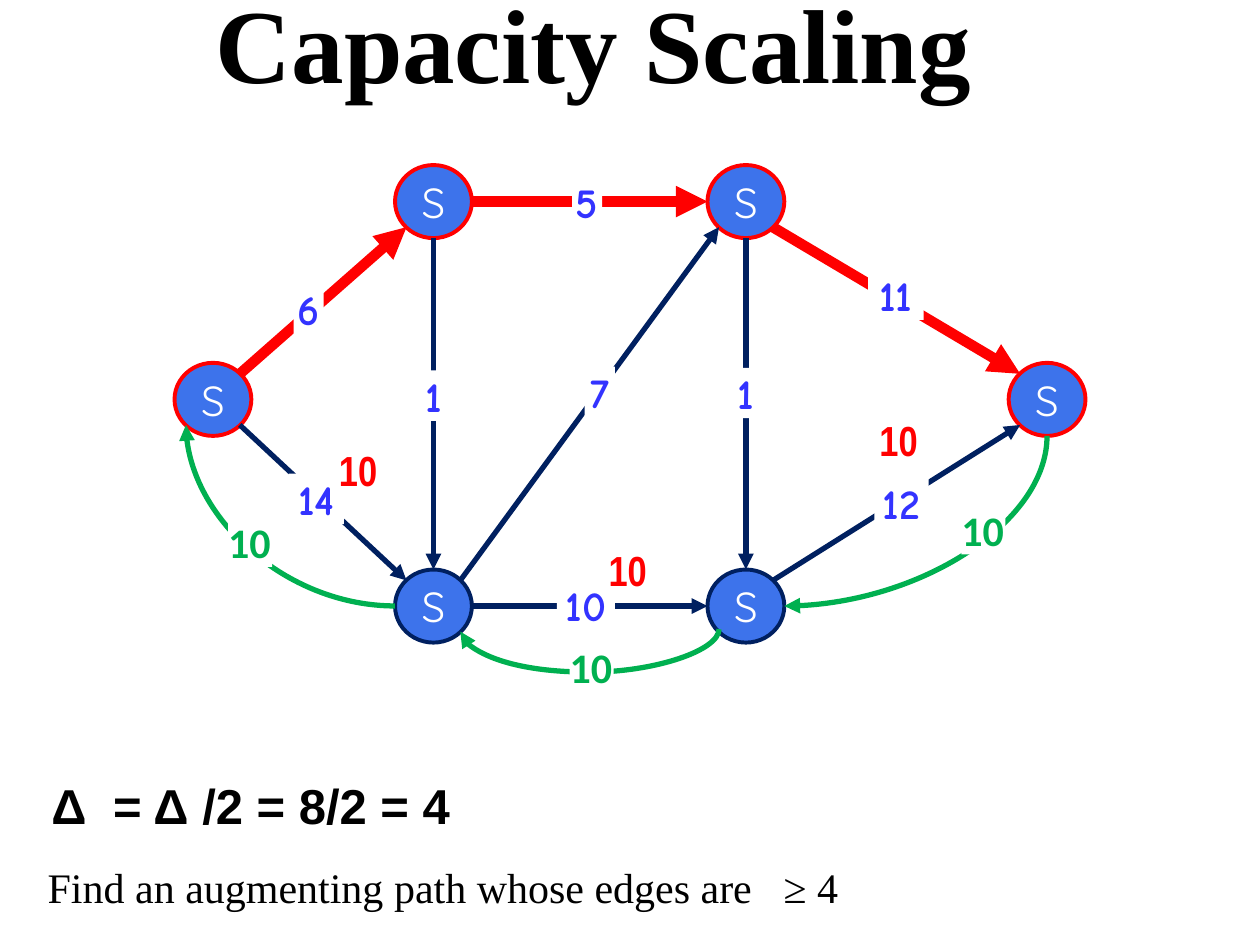
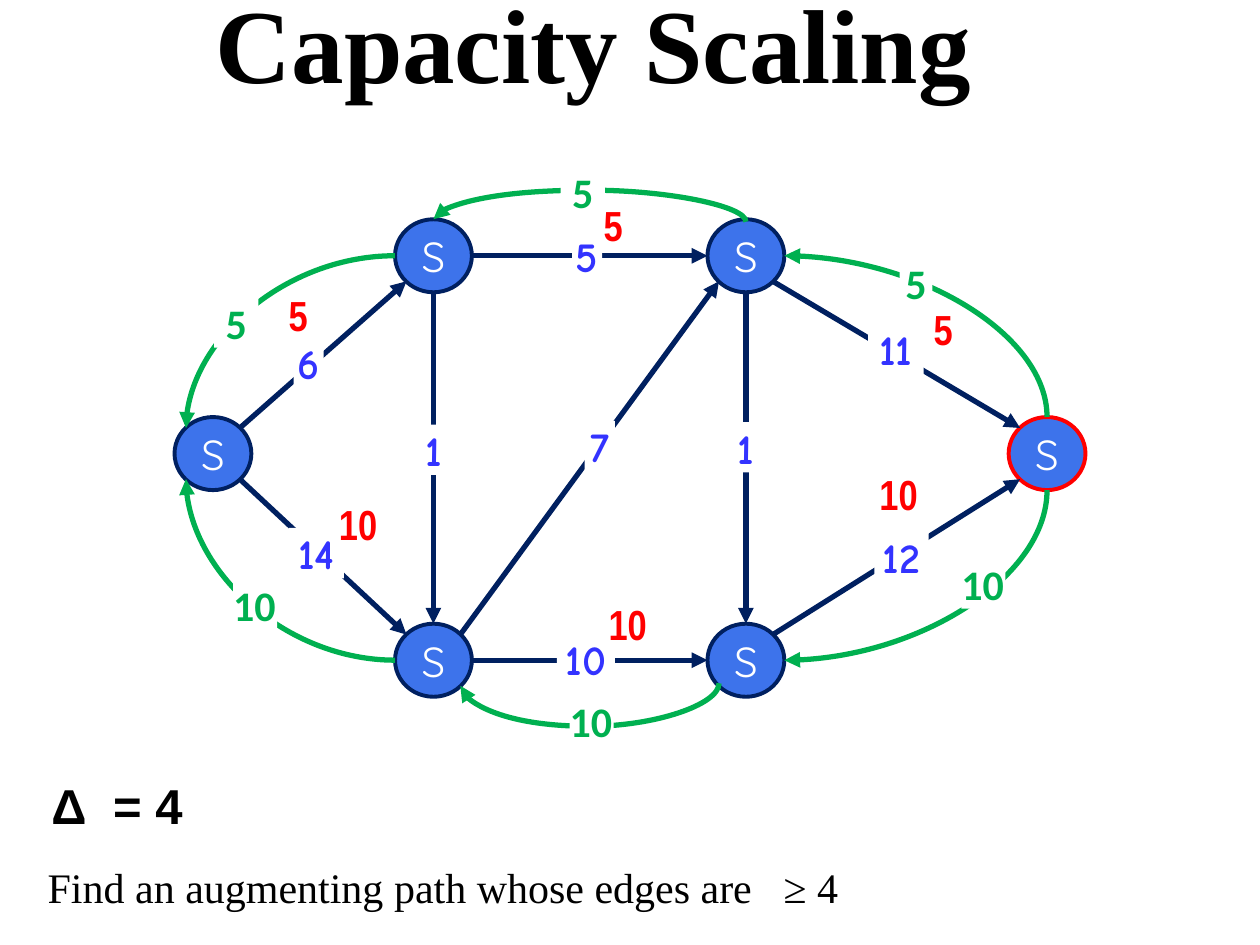
from dataclasses import dataclass

from lxml import etree
from pptx import Presentation
from pptx.dml.color import RGBColor
from pptx.enum import shapes, text
from pptx.oxml.ns import qn
from pptx.util import Inches, Pt


@dataclass(frozen=True)
class Style:
    font: str
    size: int
    color: str
    bold: bool = True


class Theme:
    navy, red, green = "002060", "FF0000", "00B050"
    node, white = "3D73EB", "FFFFFF"
    title = Style("Times New Roman", 60, "000000")
    delta = Style("Arial", 28, "000000")
    task = Style("Times New Roman", 24, "000000", False)
    node_text = Style("Quicksand", 24, white, False)
    capacity = Style("Comic Neue", 24, "3333FF")
    flow = Style("Arial Narrow", 24, red)
    residual = Style("Calibri", 24, green)
    outline_pt, edge_pt, path_pt = 2.25, 3, 6


LEFT, CENTER = text.PP_ALIGN.LEFT, text.PP_ALIGN.CENTER
TOP, MIDDLE, BOTTOM = (text.MSO_ANCHOR.TOP, text.MSO_ANCHOR.MIDDLE,
                       text.MSO_ANCHOR.BOTTOM)

# Shared network: node centres, edges between compass points, capacities
NODE_W, NODE_H = 0.61, 0.58
NODES = {"source": (1.69, 3.17), "top1": (3.44, 1.6), "low1": (3.44, 4.81),
         "sink": (8.31, 3.17), "top2": (5.92, 1.6), "low2": (5.92, 4.81)}
COMPASS = {"N": (0, -1), "S": (0, 1), "E": (1, 0), "W": (-1, 0),
           "NE": (0.7, -0.7), "SE": (0.7, 0.7),
           "NW": (-0.7, -0.7), "SW": (-0.7, 0.7)}
EDGES = [("source", "SE", "low1", "NW"), ("low1", "E", "low2", "W"),
         ("source", "NE", "top1", "SW"), ("top1", "S", "low1", "N"),
         ("top1", "E", "top2", "W"), ("top2", "S", "low2", "N"),
         ("low2", "NE", "sink", "SW"), ("top2", "SE", "sink", "NW"),
         ("low1", "NE", "top2", "SW")]

# Labels: text, left, top, then width and alignment where they differ
CAPACITIES = [("5", 4.54, 1.4, 0.24), ("10", 4.42, 4.6, 0.46),
              ("1", 3.32, 2.94, 0.24), ("1", 5.8, 2.92, 0.24),
              ("12", 6.94, 3.79, 0.43), ("11", 6.89, 2.14, 0.44),
              ("6", 2.33, 2.25, 0.24), ("14", 2.29, 3.76, 0.44),
              ("7", 4.64, 2.91, 0.24)]
FLOWS = [("10", 6.98, 3.28), ("10", 4.83, 4.31), ("10", 2.69, 3.52)]
RESIDUALS = [("10", 7.63, 3.99), ("10", 4.52, 5.08)]

# Return arcs: start, end, and the depth of the bulge for a U-shaped arc
ARCS = [("low1", "W", "source", "SW", 0), ("low2", "SW", "low1", "SE", 0.34),
        ("sink", "S", "low2", "E", 0)]
UPPER_ARCS = [("top1", "W", "source", "NW", 0),
              ("top2", "N", "top1", "N", -0.25),
              ("sink", "N", "top2", "E", 0)]

TITLE = "Capacity Scaling"
TASK = "Find an augmenting path whose edges are\t≥ 4"
SLIDES = [
    dict(drop=0, delta="Δ\t= Δ /2 = 8/2 = 4",
         red_nodes={"source", "top1", "top2", "sink"},
         path={("source", "top1"), ("top1", "top2"), ("top2", "sink")},
         flows=FLOWS, arcs=ARCS,
         residuals=RESIDUALS + [("10", 1.81, 4.09)]),
    dict(drop=0.43, delta="Δ\t= 4", red_nodes={"sink"}, path=set(),
         flows=FLOWS + [("5", 2.29, 1.86), ("5", 4.79, 1.14),
                        ("5", 7.33, 1.97, 0.31, CENTER)],
         arcs=ARCS + UPPER_ARCS,
         residuals=RESIDUALS + [("10", 1.85, 4.16),
                                ("5", 1.7, 1.92, 0.35, CENTER),
                                ("5", 4.45, 0.88, 0.35, CENTER),
                                ("5", 7.14, 1.6, 0.26, CENTER)]),
]


def rgb(color):
    return RGBColor.from_string(color)


def write(sp, words, style, align=LEFT, anchor=BOTTOM, inset=True, tab=None,
          wrap=True):
    tf = sp.text_frame
    tf.word_wrap, tf.vertical_anchor = wrap, anchor
    if not inset:
        tf.margin_left = tf.margin_right = tf.margin_top = tf.margin_bottom = 0
    p = tf.paragraphs[0]
    p.text, p.alignment = words, align
    if tab:
        tabs = etree.SubElement(p._p.get_or_add_pPr(), qn("a:tabLst"))
        etree.SubElement(tabs, qn("a:tab"), pos=str(Inches(tab)), algn="l")
    for r in p.runs:
        r.font.name, r.font.size = style.font, Pt(style.size)
        r.font.bold, r.font.color.rgb = style.bold, rgb(style.color)


def add_text(s, box, words, style, **layout):
    write(s.shapes.add_textbox(*map(Inches, box)), words, style, **layout)


def add_filled(s, kind, box, fill, line=None):
    sp = s.shapes.add_shape(kind, *map(Inches, box))
    sp.shadow.inherit = False
    sp.fill.solid()
    sp.fill.fore_color.rgb = rgb(fill)
    if line:
        sp.line.color.rgb, sp.line.width = rgb(line), Pt(Theme.outline_pt)
    else:
        sp.line.fill.background()
    return sp


def add_arrow(s, kind, start, end, color, width):
    c = s.shapes.add_connector(kind, *map(Inches, (*start, *end)))
    c.line.color.rgb, c.line.width = rgb(color), Pt(width)
    sp_pr = c._element.spPr
    etree.SubElement(sp_pr.find(qn("a:ln")), qn("a:tailEnd"), type="triangle")
    etree.SubElement(sp_pr, qn("a:effectLst"))
    return sp_pr


def add_arc(s, start, end, vertical, depth):
    """Curve to the left; a vertical start is a horizontal one turned."""
    (x0, y0), (x1, y1) = start, end
    turn = 0
    if depth:
        y0 = y1 - (0.02 if depth > 0 else -0.02)
    dx, dy = x1 - x0, y1 - y0
    if vertical:
        cx, cy = (x0 + x1) / 2, (y0 + y1) / 2
        half_w, half_h = abs(dy) / 2, -dx / 2
        turn = 90 if dy > 0 else 270
        if turn == 270:
            half_h = -half_h
        x0, y0, x1, y1 = cx - half_w, cy - half_h, cx + half_w, cy + half_h
    sp_pr = add_arrow(s, shapes.MSO_CONNECTOR.CURVE, (x0, y0), (x1, y1),
                      Theme.green, Theme.edge_pt)
    if turn:
        sp_pr.find(qn("a:xfrm")).set("rot", str(turn * 60000))
    geom = sp_pr.find(qn("a:prstGeom"))
    if depth:
        guides = geom.find(qn("a:avLst"))
        if guides is None:
            guides = etree.SubElement(geom, qn("a:avLst"))
        etree.SubElement(guides, qn("a:gd"), name="adj1",
                         fmla=f"val {round(depth / dy * 100000)}")
    else:
        geom.set("prst", "curvedConnector2")


def add_label(s, drop, style, height, fill, anchor, words, left, top,
              width=0.35, align=LEFT):
    box = (left, top + drop, width, height)
    layout = dict(align=align, anchor=anchor, inset=False,
                  wrap=anchor == BOTTOM)
    if fill:
        sp = add_filled(s, shapes.MSO_SHAPE.RECTANGLE, box, fill)
        write(sp, words, style, **layout)
    else:
        add_text(s, box, words, style, **layout)


def build_slide(prs, drop, delta, red_nodes, path, flows, arcs, residuals):
    s = prs.slides.add_slide(prs.slide_layouts[6])

    def port(node, side):
        (x, y), (dx, dy) = NODES[node], COMPASS[side]
        return x + dx * NODE_W / 2, y + drop + dy * NODE_H / 2

    add_text(s, (0.4, 0, 8.62, 0.88), TITLE, Theme.title, align=CENTER)

    # Nodes
    for name, (x, y) in NODES.items():
        box = (x - NODE_W / 2, y + drop - NODE_H / 2, NODE_W, NODE_H)
        sp = add_filled(s, shapes.MSO_SHAPE.OVAL, box, Theme.node,
                        Theme.red if name in red_nodes else Theme.navy)
        write(sp, "S", Theme.node_text, CENTER, MIDDLE, inset=False)

    # Edges, with the augmenting path emphasised
    for a, a_side, b, b_side in EDGES:
        look = ((Theme.red, Theme.path_pt) if (a, b) in path
                else (Theme.navy, Theme.edge_pt))
        add_arrow(s, shapes.MSO_CONNECTOR.STRAIGHT, port(a, a_side),
                  port(b, b_side), *look)

    # Capacities and flows
    for words, left, top, width in CAPACITIES:
        add_label(s, drop, Theme.capacity, 0.4, Theme.white, TOP,
                  words, left, top, width, CENTER)
    for label in flows:
        add_label(s, drop, Theme.flow, 0.41, None, BOTTOM, *label)

    # Residual arcs and their values
    for a, a_side, b, b_side, depth in arcs:
        add_arc(s, port(a, a_side), port(b, b_side), a_side != "W", depth)
    for label in residuals:
        add_label(s, drop, Theme.residual, 0.41, Theme.white, BOTTOM, *label)

    # Scaling step
    add_text(s, (0.31, 6.14, 5.16, 0.53), delta, Theme.delta, tab=0.49)
    add_text(s, (0.28, 6.76, 8.71, 0.53), TASK, Theme.task, tab=5.84)


def main():
    prs = Presentation()
    prs.slide_width, prs.slide_height = Inches(10), Inches(7.5)
    for content in SLIDES:
        build_slide(prs, **content)
    prs.save("out.pptx")


if __name__ == "__main__":
    main()
